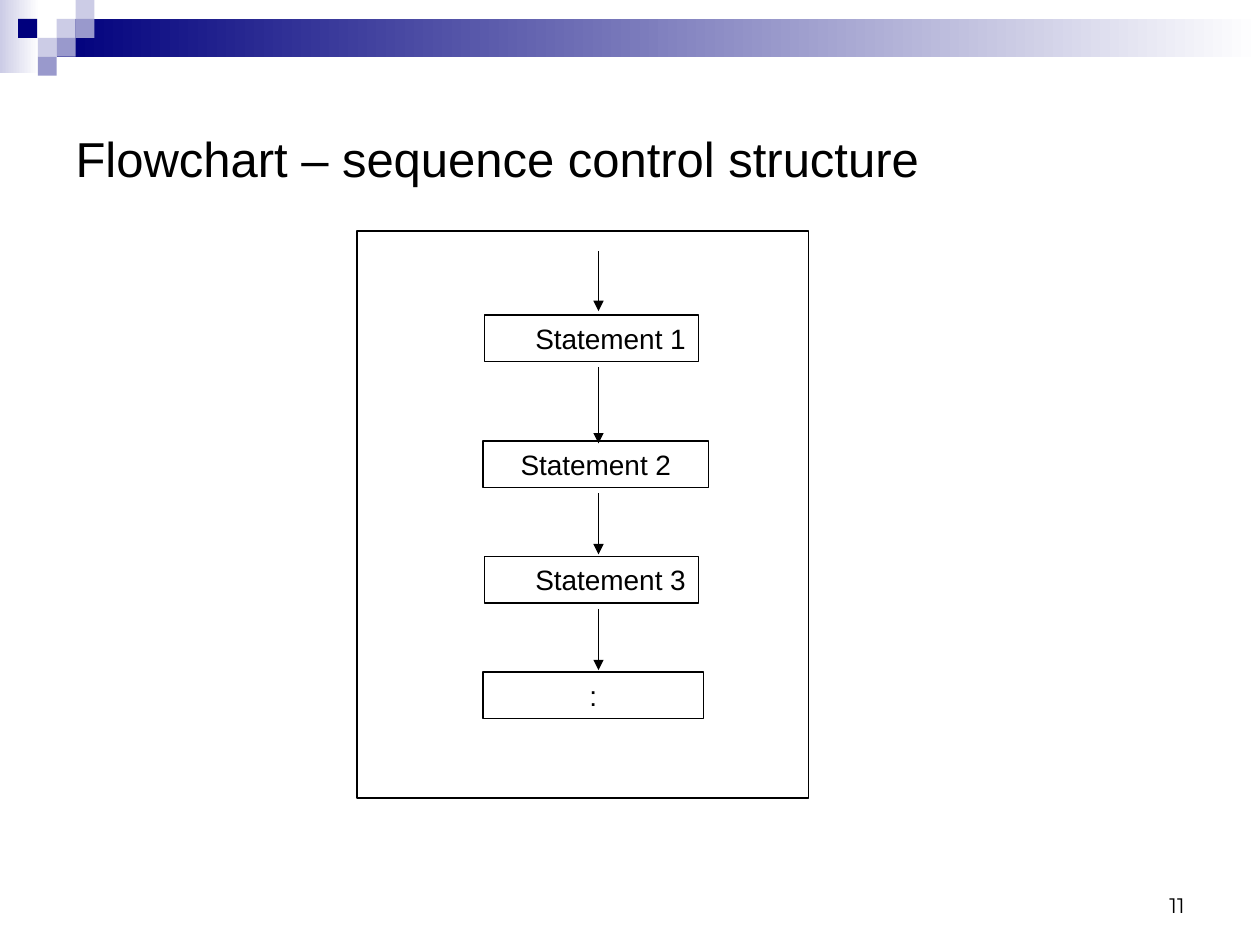
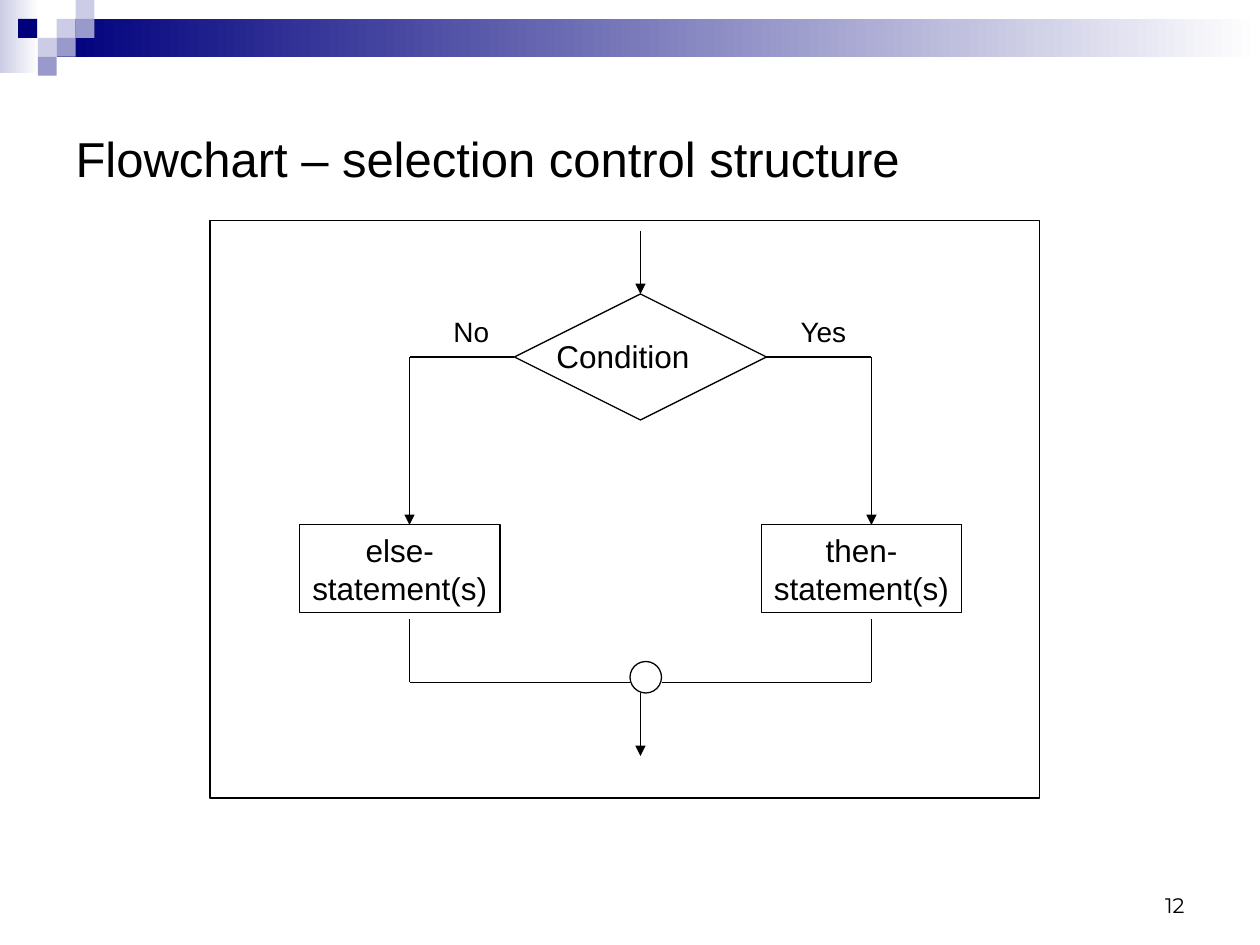
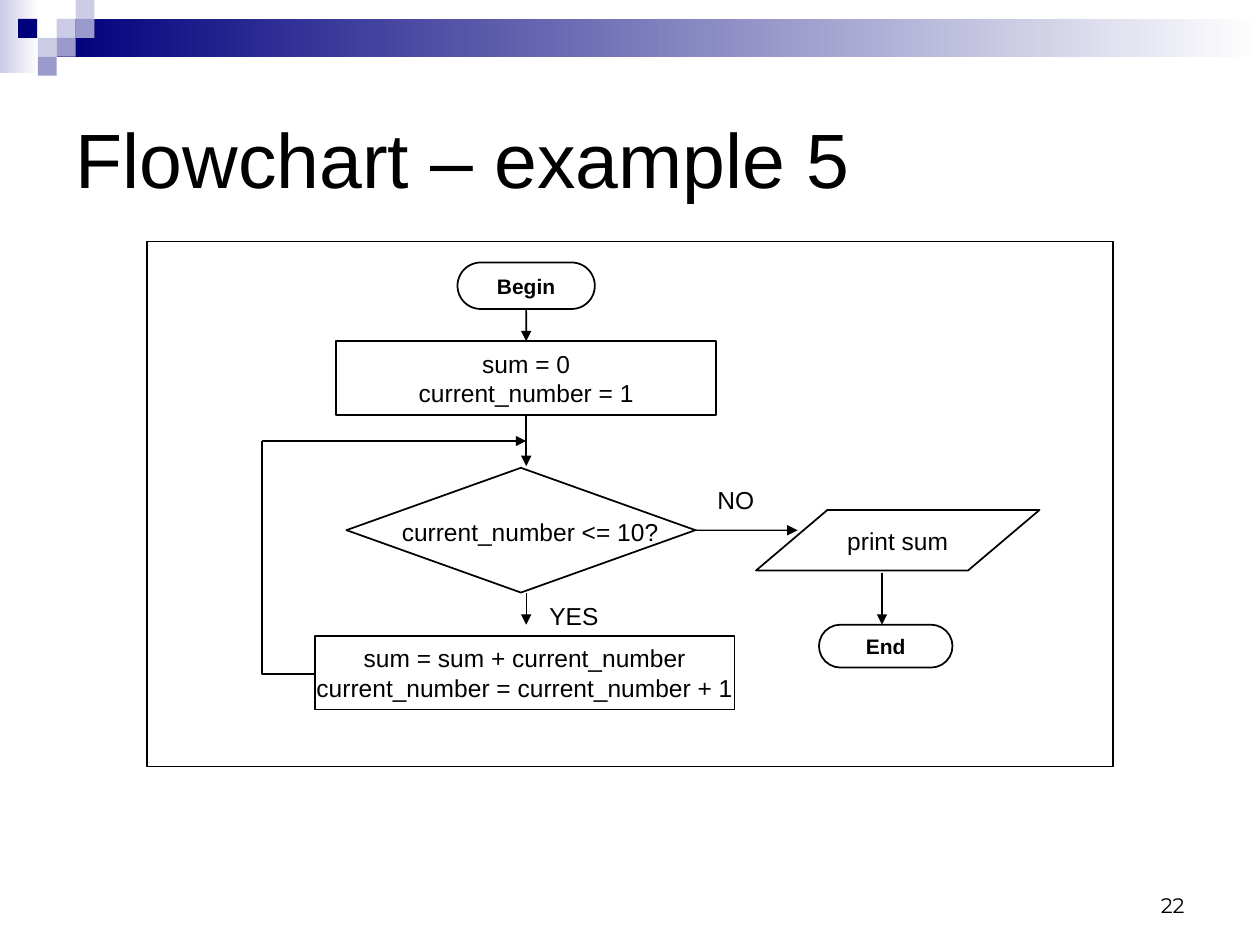
import dataclasses

import lxml.etree
import pptx
import pptx.dml.color
import pptx.enum.shapes
import pptx.enum.text
import pptx.oxml.ns
import pptx.slide
import pptx.util

Pt = pptx.util.Pt
SHAPE = pptx.enum.shapes.MSO_SHAPE
ALIGN = pptx.enum.text.PP_ALIGN
ANCHOR = pptx.enum.text.MSO_ANCHOR

COLORS = {
    "ink": "000000",
    "paper": "FFFFFF",
    "navy": "00007D",
    "lavender": "CCCCE6",
    "violet": "9999CC",
}
BODY_FONT = "Arial"
NUMBER_FONT = "Montserrat"
THIN, MEDIUM = 0.75, 1

TITLE_BOX = (36, 36, 648, 108)
NUMBER_BOX = (516, 492, 168, 36)
BANDS = [
    ((0, 0, 22.5, 42), "lavender"),
    ((32.4, 10.8, 687.6, 21.6), "navy"),
]
TILE = 10.8
TILES = [
    (32.4, 10.8, "lavender"),
    (43.2, 0, "lavender"),
    (43.2, 10.8, "violet"),
    (21.6, 21.6, "lavender"),
    (10.4, 10.8, "navy"),
    (32.4, 21.6, "violet"),
    (21.6, 32.4, "violet"),
]


def rgb(name):
    return pptx.dml.color.RGBColor.from_string(COLORS[name])


def write(frame, lines, size, font=BODY_FONT, bold=False, align=ALIGN.CENTER,
          anchor=ANCHOR.MIDDLE, wrap=False):
    """Fill a text frame with one paragraph for each line."""
    frame.word_wrap = wrap
    frame.vertical_anchor = anchor
    for index, line in enumerate(lines):
        paragraph = frame.add_paragraph() if index else frame.paragraphs[0]
        paragraph.alignment = align
        run = paragraph.add_run()
        run.text = line
        run.font.size = Pt(size)
        run.font.name = font
        run.font.bold = bold
        run.font.color.rgb = rgb("ink")


def outline(shape, width):
    shape.shadow.inherit = False
    shape.fill.background()
    shape.line.color.rgb = rgb("ink")
    shape.line.width = Pt(width)


@dataclasses.dataclass
class Flowchart:
    """A framed drawing; its parts are placed from the frame's top left."""
    slide: pptx.slide.Slide
    left: float
    top: float
    width: float
    height: float

    def __post_init__(self):
        self.node(SHAPE.RECTANGLE, (0, 0, self.width, self.height))

    def point(self, x, y):
        return Pt(self.left + x), Pt(self.top + y)

    def place(self, box):
        x, y, width, height = box
        return *self.point(x, y), Pt(width), Pt(height)

    def node(self, kind, box, lines=(), size=18, line_width=THIN, **style):
        shape = self.slide.shapes.add_shape(kind, *self.place(box))
        outline(shape, line_width)
        write(shape.text_frame, lines, size, **style)
        return shape

    def label(self, text, box, size):
        """Centre one line of text in a box without side insets."""
        caption = self.slide.shapes.add_textbox(*self.place(box)).text_frame
        caption.margin_left = caption.margin_right = 0
        write(caption, [text], size)

    def line(self, start, end, arrow=False, width=THIN, source=None, target=None):
        """Draw a line; source and target are (shape, side) pairs to join."""
        connector = self.slide.shapes.add_connector(
            pptx.enum.shapes.MSO_CONNECTOR.STRAIGHT,
            *self.point(*start), *self.point(*end))
        if source:
            connector.begin_connect(*source)
        if target:
            connector.end_connect(*target)
        connector.line.color.rgb = rgb("ink")
        connector.line.width = Pt(width)
        if arrow:
            lxml.etree.SubElement(connector.get_or_add_ln(),
                                  pptx.oxml.ns.qn("a:tailEnd"), type="triangle")
        lxml.etree.SubElement(connector.element.spPr, pptx.oxml.ns.qn("a:effectLst"))

    def polyline(self, points, width):
        start, *rest = [self.point(*point) for point in points]
        builder = self.slide.shapes.build_freeform(*start)
        builder.add_line_segments(rest, close=False)
        outline(builder.convert_to_shape(), width)


def decorate_layout(layout, slide):
    """Draw the bands and tiles on a slide and move them to its layout."""
    tiles = [((x, y, TILE, TILE), color) for x, y, color in TILES]
    for index, (box, color) in enumerate(BANDS + tiles):
        ornament = slide.shapes.add_shape(SHAPE.RECTANGLE, *map(Pt, box))
        ornament.shadow.inherit = False
        ornament.line.fill.background()
        if index < len(BANDS):
            ornament.fill.gradient()
            ornament.fill.gradient_angle = 0
            for stop, name in zip(ornament.fill.gradient_stops, (color, "paper")):
                stop.color.rgb = rgb(name)
        else:
            ornament.fill.solid()
            ornament.fill.fore_color.rgb = rgb(color)
        ornament.element.nvSpPr.cNvPr.set("id", str(100 + index))
        layout.shapes.element.insert(2 + index, ornament.element)


def add_page(deck, layout, title, number, title_size=28):
    slide = deck.slides.add_slide(layout)
    heading = slide.shapes.title
    heading.left, heading.top, heading.width, heading.height = map(Pt, TITLE_BOX)
    write(heading.text_frame, [title], title_size, align=ALIGN.LEFT, wrap=True)
    page_number = slide.shapes.add_textbox(*map(Pt, NUMBER_BOX))
    write(page_number.text_frame, [number], 12, font=NUMBER_FONT,
          align=ALIGN.RIGHT, anchor=ANCHOR.BOTTOM, wrap=True)
    return slide


def draw_sequence(slide, box):
    chart = Flowchart(slide, *box)
    axis = 138
    steps = [
        ("Statement 1", 72.7, 48, 122.4, ALIGN.RIGHT),
        ("Statement 2", 72, 120, 129, ALIGN.CENTER),
        ("Statement 3", 72.7, 186, 122.4, ALIGN.RIGHT),
        (":", 72, 252, 126, ALIGN.CENTER),
    ]
    for text, x, y, width, align in steps:
        chart.node(SHAPE.RECTANGLE, (x, y, width, 26.6), [text], 16,
                   align=align, wrap=True)
    for start, end in [(11.3, 45.8), (78, 121.4), (150, 184.8), (216, 251)]:
        chart.line((axis, start), (axis, end), arrow=True)


def draw_selection(slide, box):
    chart = Flowchart(slide, *box)
    axis, branch_y, merge_y = 246, 78, 264
    condition = chart.node(SHAPE.FLOWCHART_DECISION, (174, 42, 144, 72))
    chart.label("Condition", (191, 63, 90, 28.8), 18)
    chart.line((axis, 6), (axis, 42), arrow=True, target=(condition, 0))

    branches = [
        ("else-", 51.2, 114, 174, 1, 240),
        ("then-", 315, 378, 318, 3, 258),
    ]
    for word, x, branch_x, corner_x, side, merge_x in branches:
        chart.node(SHAPE.RECTANGLE, (x, 173.7, 114.5, 50.4), [word, "statement(s)"])
        chart.line((corner_x, branch_y), (branch_x, branch_y), source=(condition, side))
        chart.line((branch_x, branch_y), (branch_x, 174), arrow=True)
        chart.line((branch_x, 228), (branch_x, merge_y))
        chart.line((branch_x, merge_y), (merge_x, merge_y))
    chart.label("No", (132, 50, 34.6, 26.6), 16)
    chart.label("Yes", (329.5, 50, 42, 26.6), 16)

    chart.node(SHAPE.FLOWCHART_CONNECTOR, (240, 252, 18, 18))
    chart.line((axis, 270), (axis, 306), arrow=True)


def draw_summing_loop(slide, box):
    chart = Flowchart(slide, *box)
    axis, loop_x, loop_y = 216.7, 65.8, 114
    begin = chart.node(SHAPE.ROUNDED_RECTANGLE, (177.4, 12, 78.5, 26.6),
                       ["Begin"], 12, MEDIUM, bold=True)
    end = chart.node(SHAPE.ROUNDED_RECTANGLE, (384, 219, 76.3, 24.5),
                     ["End"], 12, MEDIUM, bold=True)
    for terminal in (begin, end):
        terminal.adjustments[0] = 0.5
    setup = chart.node(SHAPE.RECTANGLE, (108, 57, 217.4, 42),
                       ["sum = 0", "current_number = 1"], 14, MEDIUM)
    test = chart.node(SHAPE.FLOWCHART_DECISION, (114, 129.3, 199.4, 71.3),
                      line_width=MEDIUM)
    chart.node(SHAPE.RECTANGLE, (96, 225.4, 239.8, 42),
               ["sum = sum + current_number", "current_number = current_number + 1"],
               14, MEDIUM)
    output = chart.node(SHAPE.PARALLELOGRAM, (348, 153.4, 162, 34.6),
                        ["print sum"], 14, MEDIUM)
    output.adjustments[0] = 1.18

    chart.label("current_number <= 10?", (137.6, 153.6, 162.7, 24.5), 14)
    chart.label("NO", (317.8, 135.4, 37.4, 24.5), 14)
    chart.label("YES", (222, 201.4, 43.9, 24.5), 14)

    chart.line((axis, 38.6), (axis, 57), True, MEDIUM, (begin, 2), (setup, 0))
    chart.line((axis, 99), (axis, 128.4), True, MEDIUM, (setup, 2))
    chart.line((axis, 201), (axis, 219), True)
    chart.line((313.4, 165), (371.8, 165), True, source=(test, 3))
    chart.line((420, 189.6), (420, 219), True)
    chart.polyline([(96.7, 247.2), (loop_x, 247.2), (loop_x, loop_y)], THIN)
    chart.line((loop_x, loop_y), (axis, loop_y), True)


def main():
    deck = pptx.Presentation()
    deck.slide_width, deck.slide_height = Pt(720), Pt(540)
    layout = deck.slide_layouts.get_by_name("Title Only")

    sequence = add_page(deck, layout, "Flowchart – sequence control structure", "11")
    decorate_layout(layout, sequence)
    draw_sequence(sequence, (204, 132, 258, 324))

    selection = add_page(deck, layout, "Flowchart – selection control structure", "12")
    draw_selection(selection, (120, 126, 474, 330))

    example = add_page(deck, layout, "Flowchart – example 5", "22", title_size=44)
    draw_summing_loop(example, (84, 138, 552, 300))

    deck.save("out.pptx")


if __name__ == "__main__":
    main()
